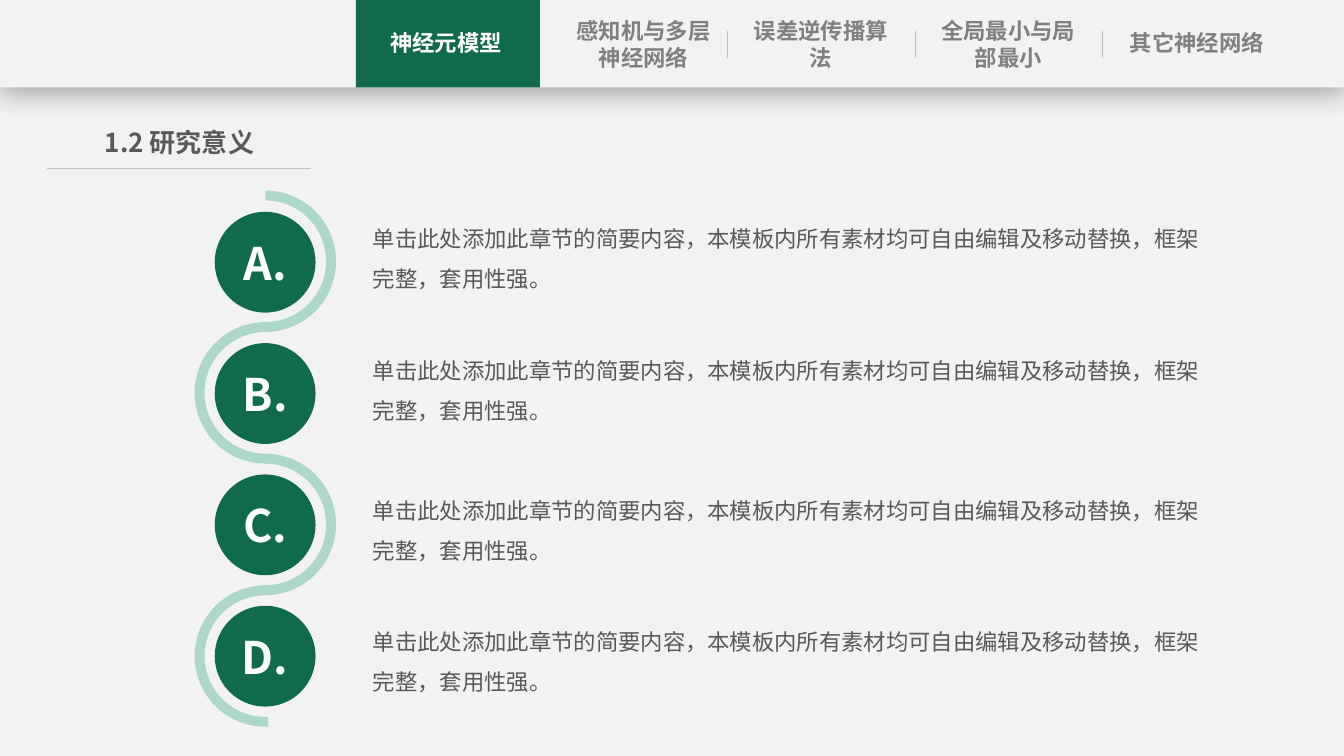
from lxml import etree
from pptx import Presentation
from pptx.dml.color import RGBColor
from pptx.enum.shapes import MSO_CONNECTOR, MSO_SHAPE
from pptx.enum.text import MSO_ANCHOR, MSO_AUTO_SIZE, PP_ALIGN
from pptx.oxml import parse_xml
from pptx.oxml.ns import qn
from pptx.util import Pt

CENTER, LEFT = PP_ALIGN.CENTER, PP_ALIGN.LEFT
MIDDLE = MSO_ANCHOR.MIDDLE
GROW = MSO_AUTO_SIZE.SHAPE_TO_FIT_TEXT
STRAIGHT = MSO_CONNECTOR.STRAIGHT
RECTANGLE, OVAL, ARC = MSO_SHAPE.RECTANGLE, MSO_SHAPE.OVAL, MSO_SHAPE.BLOCK_ARC

FONT = "Noto Sans CJK SC"
GREEN, MINT, PALE = "106B4C", "ACD7CA", "F2F2F2"
WHITE, DARK, GRAY, RULE = "FFFFFF", "595959", "808080", "BFBFBF"
DESCRIPTION = "单击此处添加此章节的简要内容，本模板内所有素材均可自由编辑及移动替换，框架完整，套用性强。"
SHADOW = (
    '<a:effectLst xmlns:a="http://schemas.openxmlformats.org/drawingml/2006/main">'
    '<a:outerShdw blurRad="228600" dist="50800" dir="5400000" algn="t" rotWithShape="0">'
    '<a:srgbClr val="000000"><a:alpha val="29000"/></a:srgbClr>'
    "</a:outerShdw></a:effectLst>"
)

deck = Presentation()
deck.slide_width, deck.slide_height = Pt(960), Pt(540)
page = deck.slides.add_slide(deck.slide_layouts[6])
page.background.fill.solid()
page.background.fill.fore_color.rgb = RGBColor.from_string(PALE)


def add_filled(kind, left, top, width, height, color):
    shape = page.shapes.add_shape(kind, Pt(left), Pt(top), Pt(width), Pt(height))
    shape.shadow.inherit = False
    shape.fill.solid()
    shape.fill.fore_color.rgb = RGBColor.from_string(color)
    shape.line.fill.background()
    return shape


def write(shape, text, size, color, bold=True, align=CENTER, padding=None, spacing=None):
    frame = shape.text_frame
    frame.word_wrap = True
    if padding is not None:
        frame.auto_size = GROW
        frame.margin_left = frame.margin_right = 0
        frame.margin_top = frame.margin_bottom = Pt(padding)
    frame.text = text
    para = frame.paragraphs[0]
    para.alignment = align
    para.line_spacing = spacing
    span = para.runs[0]
    span.font.name = FONT
    span.font.size = Pt(size)
    span.font.bold = bold
    span.font.color.rgb = RGBColor.from_string(color)
    etree.SubElement(span.font._element, qn("a:ea")).set("typeface", FONT)


header = add_filled(RECTANGLE, 0, 0, 960, 62.4, PALE)
header_properties = header._element.spPr
header_properties.remove(header_properties.find(qn("a:effectLst")))
header_properties.append(parse_xml(SHADOW))
add_filled(RECTANGLE, 254.2, 0, 131.4, 62.4, GREEN)

rules = [(x, 22.3, x, 41.8) for x in (519.8, 653.8, 787.7)]
rules.append((33.8, 120.2, 222.5, 120.2))
for start_x, start_y, end_x, end_y in rules:
    line = page.shapes.add_connector(STRAIGHT, Pt(start_x), Pt(start_y), Pt(end_x), Pt(end_y))
    line.line.color.rgb = RGBColor.from_string(RULE)
    line.line.width = Pt(0.5)
    etree.SubElement(line._element.spPr, qn("a:effectLst"))

title = page.shapes.add_textbox(Pt(64.1), Pt(87.1), Pt(128.2), Pt(30.2))
write(title, "1.2 研究意义", 18.6, DARK, padding=3.6)

for index in range(4):
    arc = add_filled(ARC, 139, 136.1 + 94 * index, 101, 101, MINT)
    for position, value in enumerate((108, 1.497, 0.07)):
        arc.adjustments[position] = value
    arc.rotation = 90
    if index % 2:
        arc.rotation = 270
        arc._element.spPr.xfrm.set("flipH", "1")

for index, letter in enumerate("ABCD"):
    circle = add_filled(OVAL, 153.4, 151.3 + 93.8 * index, 72, 72, GREEN)
    circle.text_frame.vertical_anchor = MIDDLE
    write(circle, f"{letter}.", 32, WHITE)

for top in (151.2, 245.3, 345.3, 439.2):
    box = page.shapes.add_textbox(Pt(266.4), Pt(top), Pt(596.2), Pt(58.3))
    write(box, DESCRIPTION, 16, DARK, bold=False, align=LEFT, padding=0, spacing=1.5)

tabs = [
    ("神经元模型", 265.7, 17.3, 27.4, WHITE),
    ("感知机与多层神经网络", 406.8, 8.8, 46.1, GRAY),
    ("误差逆传播算法", 533.5, 9, 46.1, GRAY),
    ("全局最小与局部最小", 667.4, 8.8, 46.1, GRAY),
    ("其它神经网络", 802, 17.3, 27.4, GRAY),
]
for label, left, top, height, color in tabs:
    box = page.shapes.add_textbox(Pt(left), Pt(top), Pt(105.8), Pt(height))
    write(box, label, 16, color, padding=3.6)

deck.save("out.pptx")
